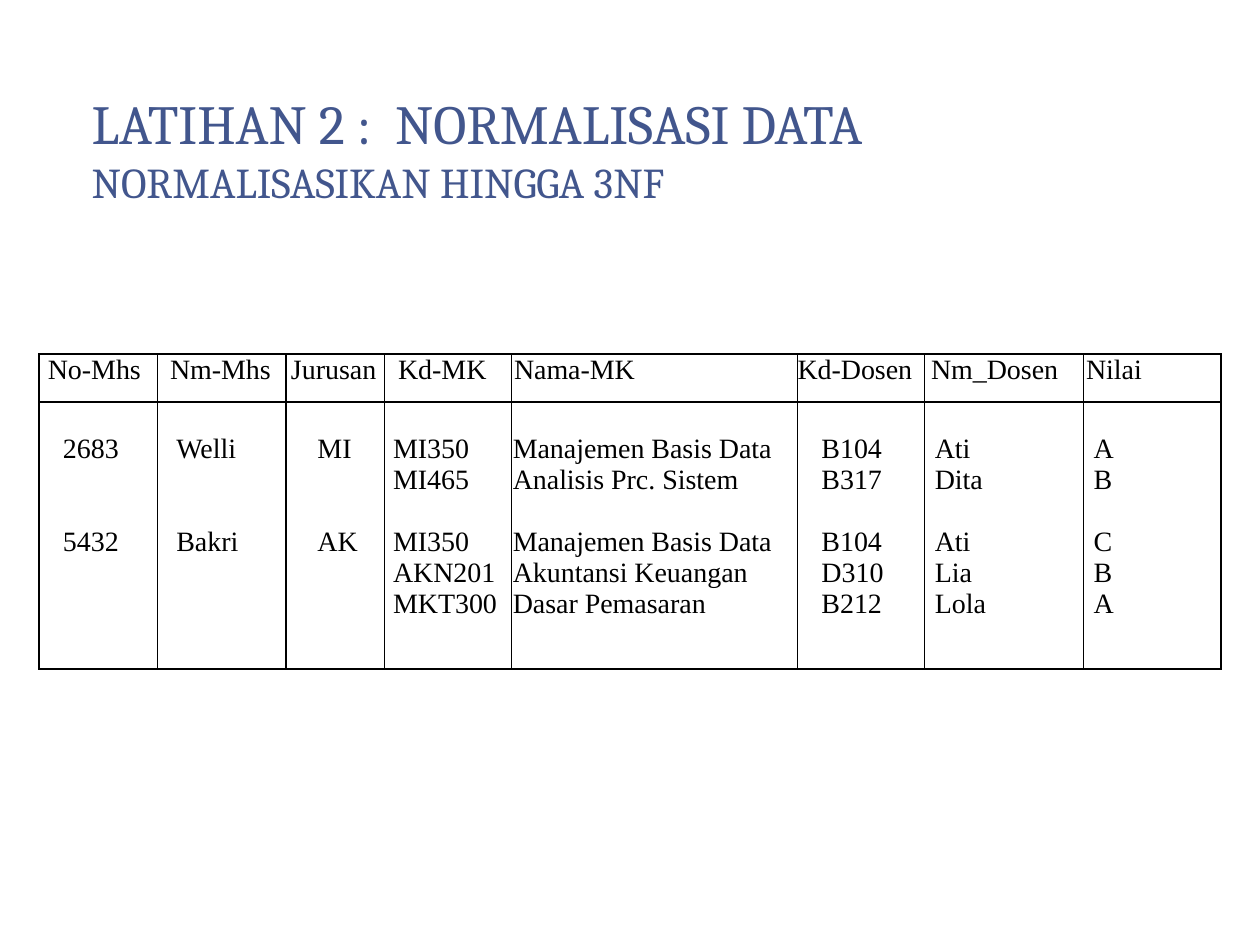
from lxml import etree
from pptx import Presentation
from pptx.dml.color import RGBColor
from pptx.enum.shapes import MSO_CONNECTOR
from pptx.enum.text import MSO_ANCHOR
from pptx.oxml.ns import qn
from pptx.util import Inches, Pt

STRAIGHT = MSO_CONNECTOR.STRAIGHT
MIDDLE = MSO_ANCHOR.MIDDLE

COLORS = {"heading": "42568D", "ink": "000000"}
HEADING_FONT = "Cambria"
BODY_FONT = "Times New Roman"
BODY_SIZE = 16

TABLE_LEFT, TABLE_TOP, TABLE_WIDTH = 0.31, 2.81, 9.38
ROW_HEIGHTS = [0.38, 2.12]
CELL_INSET = 0.07
BODY_TOP_GAP = 0.25
GROUP_GAP = 17.7

COLUMN_RULES = [1.25, 2.27, 3.05, 4.06, 6.33, 7.34, 8.6]
# Slide positions at which the text of each column starts
HEADER_STARTS = [1.35, 2.31, 3.16, 4.08, 6.33, 7.39, 8.62]
RECORD_STARTS = [0.5, 1.4, 2.52, 3.12, 4.07, 6.52, 7.42, 8.68]

HEADERS = ["No-Mhs", "Nm-Mhs", "Jurusan", "Kd-MK", "Nama-MK",
           "Kd-Dosen", "Nm_Dosen", "Nilai"]
STUDENTS = [
    (["2683", "Welli", "MI"], [
        ["MI350", "Manajemen Basis Data", "B104", "Ati", "A"],
        ["MI465", "Analisis Prc. Sistem", "B317", "Dita", "B"],
    ]),
    (["5432", "Bakri", "AK"], [
        ["MI350", "Manajemen Basis Data", "B104", "Ati", "C"],
        ["AKN201", "Akuntansi Keuangan", "D310", "Lia", "B"],
        ["MKT300", "Dasar Pemasaran", "B212", "Lola", "A"],
    ]),
]


class SlideBuilder:
    def __init__(self, slide):
        self.slide = slide

    def style_run(self, run, font, size, color):
        run.font.name = font
        run.font.size = Pt(size)
        run.font.color.rgb = RGBColor.from_string(COLORS[color])

    def heading(self, left, top, width, height, lines, sizes):
        box = self.slide.shapes.add_textbox(
            Inches(left), Inches(top), Inches(width), Inches(height))
        frame = box.text_frame
        frame.word_wrap = True
        frame.vertical_anchor = MIDDLE
        paragraph = frame.paragraphs[0]
        paragraph.text = "\v".join(lines)
        for run, size in zip(paragraph.runs, sizes):
            self.style_run(run, HEADING_FONT, size, "heading")

    def framed_table(self, left, top, width, row_heights):
        """Add a one-column table with plain bordered cells; return the cells."""
        table = self.slide.shapes.add_table(
            len(row_heights), 1, Inches(left), Inches(top),
            Inches(width), Inches(sum(row_heights))).table
        for row, height in zip(table.rows, row_heights):
            row.height = Inches(height)
        cells = [row.cells[0] for row in table.rows]
        for cell in cells:
            cell.margin_left = cell.margin_right = Inches(CELL_INSET)
            cell.margin_top = cell.margin_bottom = 0
            cell.fill.background()
            self.cell_borders(cell)
        return cells

    def cell_borders(self, cell):
        properties = cell._tc.get_or_add_tcPr()
        for index, side in enumerate(["a:lnL", "a:lnR", "a:lnT", "a:lnB"]):
            border = etree.Element(qn(side), w=str(Pt(1)))
            fill = etree.SubElement(border, qn("a:solidFill"))
            etree.SubElement(fill, qn("a:srgbClr"), val=COLORS["ink"])
            properties.insert(index, border)

    def tabbed_lines(self, cell, lines, starts, gaps):
        """Fill a cell with lines whose fields sit on left tab stops."""
        frame = cell.text_frame
        frame.text = "\n".join("\t".join(fields) for fields in lines)
        for paragraph, gap in zip(frame.paragraphs, gaps):
            paragraph.space_before = Pt(gap)
            stops = etree.SubElement(
                paragraph._p.get_or_add_pPr(), qn("a:tabLst"))
            for start in starts:
                offset = Inches(start - TABLE_LEFT - CELL_INSET)
                etree.SubElement(
                    stops, qn("a:tab"), pos=str(offset), algn="l")
            for run in paragraph.runs:
                self.style_run(run, BODY_FONT, BODY_SIZE, "ink")

    def vertical_rule(self, x, top, bottom):
        rule = self.slide.shapes.add_connector(
            STRAIGHT, Inches(x), Inches(top), Inches(x), Inches(bottom))
        rule.line.color.rgb = RGBColor.from_string(COLORS["ink"])
        rule.line.width = Pt(0.75)
        etree.SubElement(rule._element.spPr, qn("a:effectLst"))


def record_lines():
    """Return the course lines and the gap above each one."""
    lines, gaps = [], []
    for number, (student, courses) in enumerate(STUDENTS):
        for position, course in enumerate(courses):
            first = position == 0
            lines.append(["", *(student if first else [""] * 3), *course])
            gaps.append(GROUP_GAP if first and number else 0)
    return lines, gaps


def main():
    presentation = Presentation()
    presentation.slide_width = Inches(10)
    presentation.slide_height = Inches(7.5)
    builder = SlideBuilder(
        presentation.slides.add_slide(presentation.slide_layouts[6]))

    header, records = builder.framed_table(
        TABLE_LEFT, TABLE_TOP, TABLE_WIDTH, ROW_HEIGHTS)
    builder.tabbed_lines(header, [HEADERS], HEADER_STARTS, [0])
    records.margin_top = Inches(BODY_TOP_GAP)
    lines, gaps = record_lines()
    builder.tabbed_lines(records, lines, RECORD_STARTS, gaps)

    for x in COLUMN_RULES:
        builder.vertical_rule(x, TABLE_TOP, TABLE_TOP + sum(ROW_HEIGHTS))

    builder.heading(
        0.63, 0.61, 7.84, 1.13,
        ["LATIHAN 2 :  NORMALISASI DATA", "NORMALISASIKAN HINGGA 3NF"],
        [31.5, 24.3])
    presentation.save("out.pptx")


if __name__ == "__main__":
    main()
